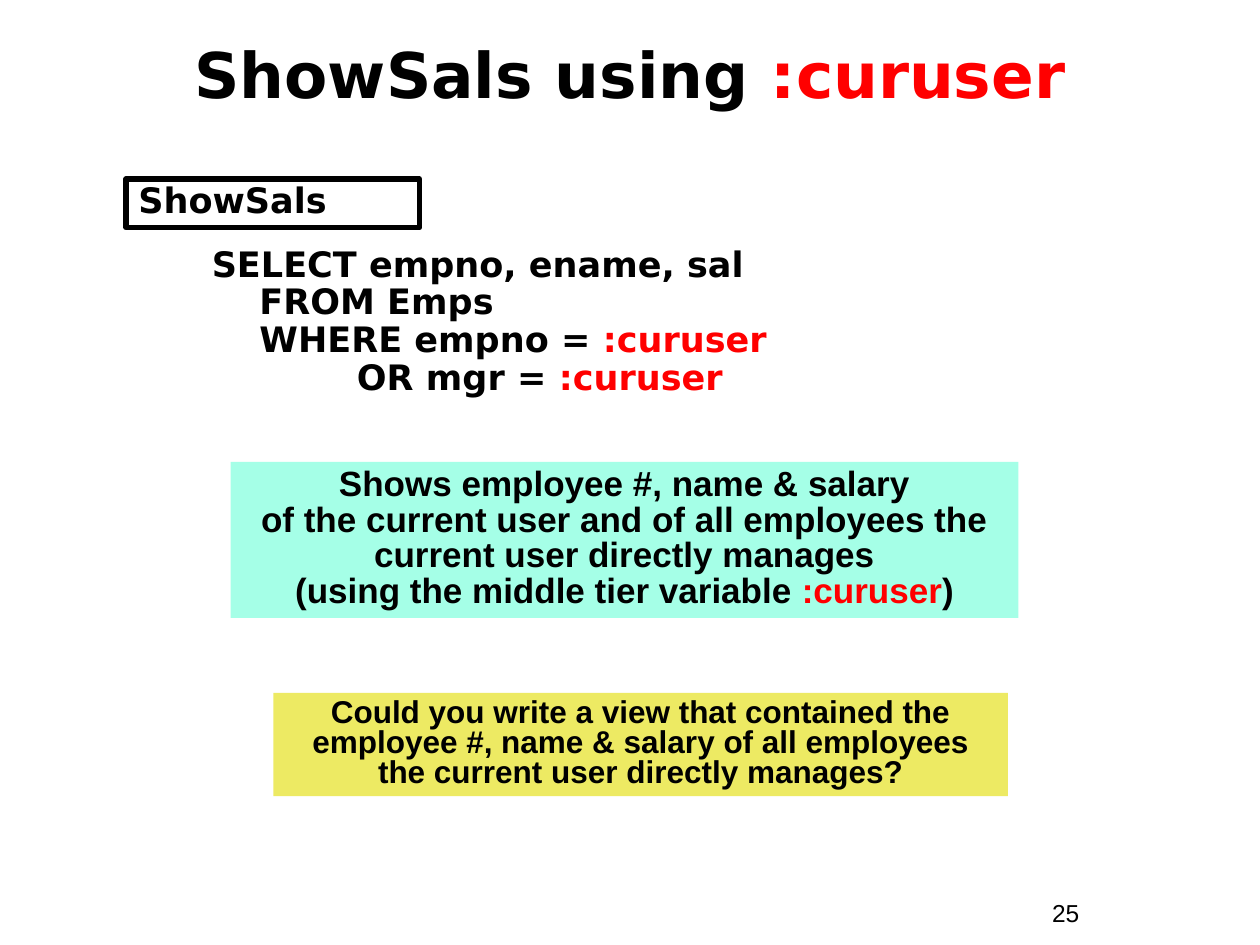
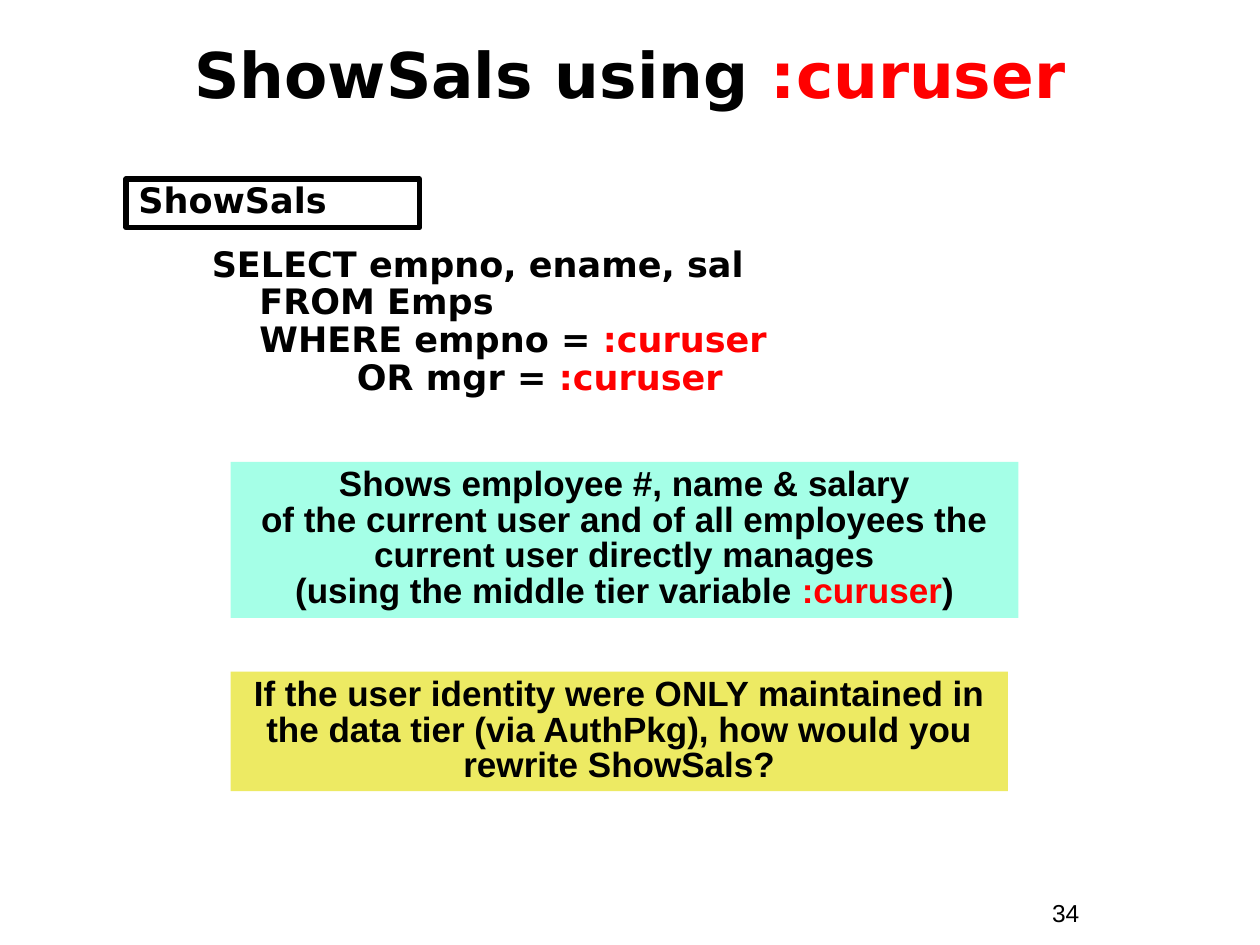
from pptx import Presentation
from pptx.dml.color import RGBColor
from pptx.enum.shapes import MSO_SHAPE
from pptx.enum.text import MSO_ANCHOR, PP_ALIGN
from pptx.util import Cm, Pt

BLACK, RED, MINT, GOLD = "000000", "FF0000", "A5FFE7", "EDEA63"
MONO, SANS = "DejaVu Sans", "Arial"
MARK = ":curuser"

TITLE = "ShowSals using :curuser"
TAG = "ShowSals"
QUERY = """SELECT empno, ename, sal
FROM Emps
WHERE empno = :curuser
        OR mgr = :curuser"""
NOTE = """Shows employee #, name & salary
of the current user and of all employees the current user directly manages
(using the middle tier variable :curuser)"""

PAGES = [
    dict(
        number="25",
        ask="Could you write a view that contained the employee #, "
            "name & salary of all employees the current user directly manages?",
        box=(5.51, 13.97, 14.81, 2.08), size=18, lead=0.8,
    ),
    dict(
        number="34",
        ask="If the user identity were ONLY maintained in the data tier "
            "(via AuthPkg), how would you rewrite ShowSals?",
        box=(4.65, 13.54, 15.67, 2.41), size=20, lead=0.85,
    ),
]


def color(value):
    """Turn a hex string into a colour."""
    return RGBColor.from_string(value)


def write(shape, text, size=20, font=MONO, bold=True, align=PP_ALIGN.LEFT,
          anchor=MSO_ANCHOR.TOP, lead=1.0, hang=0):
    """Fill a shape with one paragraph, its variable in red."""
    frame = shape.text_frame
    frame.word_wrap = True
    frame.vertical_anchor = anchor
    para = frame.paragraphs[0]
    para.alignment = align
    para.line_spacing = lead
    if hang:
        props = para._p.get_or_add_pPr()
        props.set("marL", str(Cm(hang)))
        props.set("indent", str(-Cm(hang)))
    for index, line in enumerate(text.split("\n")):
        if index:
            para.add_line_break()
        for part in filter(None, line.partition(MARK)):
            run = para.add_run()
            run.text = part
            run.font.size = Pt(size)
            run.font.name = font
            run.font.bold = bold
            run.font.color.rgb = color(RED if part == MARK else BLACK)


def label(slide, box, text, **form):
    """Add a plain text box."""
    write(slide.shapes.add_textbox(*map(Cm, box)), text, **form)


def panel(slide, box, text, fill=None, line=None, **form):
    """Add a rectangle with text."""
    shape = slide.shapes.add_shape(MSO_SHAPE.RECTANGLE, *map(Cm, box))
    shape.shadow.inherit = False
    if fill:
        shape.fill.solid()
        shape.fill.fore_color.rgb = color(fill)
    else:
        shape.fill.background()
    if line:
        shape.line.color.rgb = color(line)
        shape.line.width = Pt(3)
    else:
        shape.line.fill.background()
    write(shape, text, **form)


def build(deck, page):
    """Add one slide with the shared query and its own question."""
    slide = deck.slides.add_slide(deck.slide_layouts[6])
    center = dict(font=SANS, align=PP_ALIGN.CENTER)
    label(slide, (20.96, 17.98, 2.33, 0.86), page["number"],
          size=14, font=SANS, bold=False)
    label(slide, (0.85, 0.43, 23.7, 2.11), TITLE, size=36,
          align=PP_ALIGN.CENTER, anchor=MSO_ANCHOR.MIDDLE)
    label(slide, (4.02, 4.85, 18.62, 3.61), QUERY, lead=0.9, hang=0.96)
    panel(slide, (2.54, 3.61, 5.92, 0.98), TAG, line=BLACK, lead=0.85)
    panel(slide, (4.65, 9.31, 15.88, 3.15), NOTE, fill=MINT, lead=0.85, **center)
    panel(slide, page["box"], page["ask"], fill=GOLD,
          size=page["size"], lead=page["lead"], **center)


def main():
    """Build and save the deck."""
    deck = Presentation()
    deck.slide_width, deck.slide_height = Cm(25.4), Cm(19.05)
    for page in PAGES:
        build(deck, page)
    deck.save("out.pptx")


if __name__ == "__main__":
    main()
